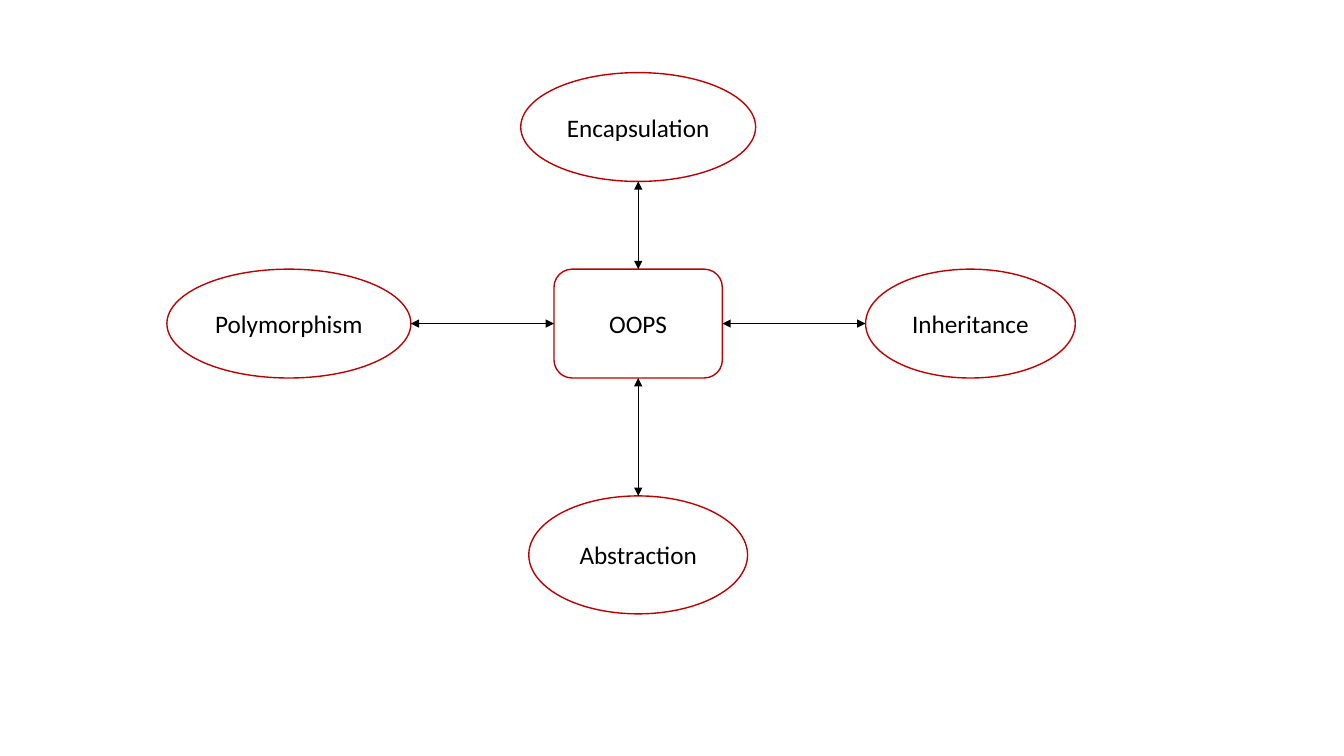
from lxml.etree import SubElement
from pptx import Presentation
from pptx.dml.color import RGBColor
from pptx.enum.shapes import MSO_CONNECTOR, MSO_SHAPE
from pptx.enum.text import MSO_ANCHOR, PP_ALIGN
from pptx.oxml.ns import qn
from pptx.util import Inches, Pt

# Content: label, width, height, direction from hub (x, y), gap, hub side
HUB = ("OOPS", 1.67, 1.08)
HUB_CENTER = (6.33, 3.21)
PILLARS = [
    ("Encapsulation", 2.33, 1.08, (0, -1), 0.87, 0),
    ("Inheritance", 2.08, 1.08, (1, 0), 1.42, 3),
    ("Abstraction", 2.17, 1.17, (0, 1), 1.17, 2),
    ("Polymorphism", 2.42, 1.08, (-1, 0), 1.42, 1),
]
FONT = "Calibri"
RED = RGBColor(0xC0, 0x00, 0x00)
WHITE = RGBColor(0xFF, 0xFF, 0xFF)
BLACK = RGBColor(0x00, 0x00, 0x00)


def add_node(slide, kind, label, center, width, height):
    left, top = center[0] - width / 2, center[1] - height / 2
    node = slide.shapes.add_shape(
        kind, Inches(left), Inches(top), Inches(width), Inches(height))
    node.shadow.inherit = False
    node.fill.solid()
    node.fill.fore_color.rgb = WHITE
    node.line.color.rgb = RED
    node.line.width = Pt(1)
    frame = node.text_frame
    frame.text = label
    frame.vertical_anchor = MSO_ANCHOR.MIDDLE
    para = frame.paragraphs[0]
    para.alignment = PP_ALIGN.CENTER
    font = para.runs[0].font
    font.name, font.size = FONT, Pt(18)
    font.color.rgb = BLACK
    return node


def add_double_arrow(slide, start, end):
    arrow = slide.shapes.add_connector(
        MSO_CONNECTOR.STRAIGHT, *[Inches(value) for value in (*start, *end)])
    arrow.line.color.rgb = BLACK
    arrow.line.width = Pt(0.5)
    line = arrow.line._get_or_add_ln()
    for tag in ("a:headEnd", "a:tailEnd"):
        SubElement(line, qn(tag), type="triangle")
    SubElement(arrow._element.spPr, qn("a:effectLst"))
    return arrow


def main():
    deck = Presentation()
    deck.slide_width, deck.slide_height = Inches(13.33), Inches(7.5)
    slide = deck.slides.add_slide(deck.slide_layouts[6])

    # Hub
    label, hub_width, hub_height = HUB
    hub = add_node(slide, MSO_SHAPE.ROUNDED_RECTANGLE, label, HUB_CENTER,
                   hub_width, hub_height)

    # Pillars around the hub, each with its arrow
    center_x, center_y = HUB_CENTER
    for label, width, height, (dx, dy), gap, side in PILLARS:
        start = (center_x + dx * hub_width / 2, center_y + dy * hub_height / 2)
        end = (start[0] + dx * gap, start[1] + dy * gap)
        center = (end[0] + dx * width / 2, end[1] + dy * height / 2)
        add_node(slide, MSO_SHAPE.OVAL, label, center, width, height)
        arrow = add_double_arrow(slide, start, end)
        arrow.begin_connect(hub, side)

    deck.save("out.pptx")


if __name__ == "__main__":
    main()
